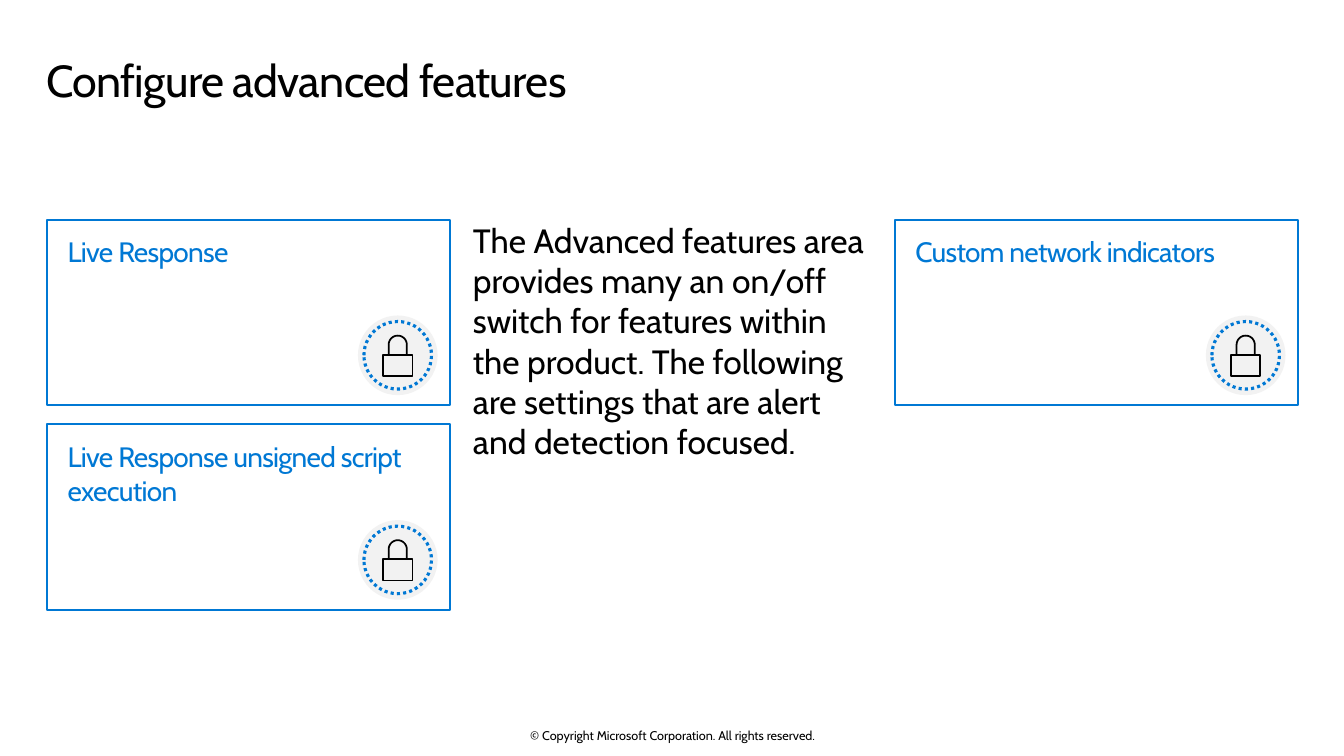
import math

from lxml import etree
from pptx import Presentation
from pptx.dml.color import RGBColor
from pptx.enum.dml import MSO_LINE
from pptx.enum.shapes import MSO_SHAPE
from pptx.enum.text import MSO_ANCHOR, MSO_AUTO_SIZE, PP_ALIGN
from pptx.oxml.ns import qn
from pptx.util import Inches, Pt

RECTANGLE, OVAL = MSO_SHAPE.RECTANGLE, MSO_SHAPE.OVAL
TOP, MIDDLE = MSO_ANCHOR.TOP, MSO_ANCHOR.MIDDLE
LEFT, CENTER = PP_ALIGN.LEFT, PP_ALIGN.CENTER
NO_FIT = MSO_AUTO_SIZE.NONE
DOTTED = MSO_LINE.ROUND_DOT

FONT = "Cabin"
BLACK, BLUE, GREY = "000000", "0078D4", "F2F2F2"

CARD_W, CARD_H = 3.99, 1.84
LEFT_X, RIGHT_X = 0.47, 8.88
TOP_Y, ROW_STEP = 2.18, 2.03
CARDS = [
    ("Live Response", LEFT_X, TOP_Y),
    ("Custom network indicators", RIGHT_X, TOP_Y),
    ("Live Response unsigned script execution", LEFT_X, TOP_Y + ROW_STEP),
]


def rgb(color):
    return RGBColor.from_string(color)


def place(shape, box):
    shape.left, shape.top, shape.width, shape.height = map(Inches, box)


def write(shape, text, size, color=BLACK, insets=(0, 0, 0, 0), anchor=TOP,
          align=LEFT, spacing=0):
    """Fill a shape with one formatted paragraph and return that paragraph."""
    frame = shape.text_frame
    frame.text = text
    frame.word_wrap = True
    frame.auto_size = NO_FIT
    frame.vertical_anchor = anchor
    (frame.margin_left, frame.margin_top,
     frame.margin_right, frame.margin_bottom) = map(Inches, insets)
    paragraph = frame.paragraphs[0]
    paragraph.alignment = align
    paragraph.space_before = Pt(0)
    run = paragraph.runs[0]
    run.font.name = FONT
    run.font.size = Pt(size)
    run.font.color.rgb = rgb(color)
    if spacing:
        run.font._element.set("spc", str(int(spacing * 100)))
    return paragraph


def style(shape, fill=None, line=None, width=1.0):
    shape.shadow.inherit = False
    if fill:
        shape.fill.solid()
        shape.fill.fore_color.rgb = rgb(fill)
    else:
        shape.fill.background()
    if line:
        shape.line.color.rgb = rgb(line)
        shape.line.width = Pt(width)
    else:
        shape.line.fill.background()


def add_title(slide, box):
    title = slide.shapes.title
    place(title, box)
    paragraph = write(title, "Configure advanced features", 32,
                      insets=(0, 0.1, 0.16, 0.1), spacing=-0.5)
    paragraph.line_spacing = 0.9


def add_description(slide, box):
    description = slide.placeholders[1]
    place(description, box)
    paragraph = write(
        description,
        "The Advanced features area provides many an on/off switch for "
        "features within the product. The following are settings that are "
        "alert and detection focused.", 24)
    # Plain text: no bullet and no hanging indent
    properties = paragraph._p.get_or_add_pPr()
    properties.set("marL", "0")
    properties.set("indent", "0")
    etree.SubElement(properties, qn("a:buNone"))


def add_padlock(shapes, x, y):
    """Square body with an arched shackle, 0.29 by 0.4 inches."""
    width, height, body_top, radius = 0.29, 0.4, 0.19, 0.09
    center = x + width / 2

    def points(pairs):
        return [(Inches(px), Inches(py)) for px, py in pairs]

    body = points([(x, y + body_top), (x + width, y + body_top),
                   (x + width, y + height), (x, y + height)])
    arch = [(center + radius * math.cos(math.radians(angle)),
             y + radius - radius * math.sin(math.radians(angle)))
            for angle in range(0, 181, 10)]
    shackle = points([(center + radius, y + body_top), *arch,
                      (center - radius, y + body_top)])

    builder = shapes.build_freeform(*body[0], scale=1.0)
    builder.add_line_segments(body[1:], close=True)
    builder.move_to(*shackle[0])
    builder.add_line_segments(shackle[1:], close=False)
    style(builder.convert_to_shape(), line=BLACK, width=1.25)


def add_badge(slide, x, y):
    """Grey disc, dotted ring and padlock, grouped."""
    badge = slide.shapes.add_group_shape().shapes
    disc = badge.add_shape(OVAL, *map(Inches, (x, y, 0.79, 0.79)))
    style(disc, fill=GREY)
    ring = badge.add_shape(OVAL, *map(Inches, (x + 0.06, y + 0.06, 0.67, 0.67)))
    style(ring, line=BLUE, width=2.25)
    ring.line.dash_style = DOTTED
    add_padlock(badge, x + 0.25, y + 0.2)


def add_card(slide, heading, x, y):
    card = slide.shapes.add_shape(
        RECTANGLE, *map(Inches, (x, y, CARD_W, CARD_H)))
    style(card, line=BLUE, width=1.5)
    paragraph = write(card, heading, 20, BLUE,
                      insets=(0.2, 0.15, 0.2, 0.1), spacing=-0.5)
    paragraph.space_after = Pt(4)
    add_badge(slide, x + 3.08, y + 0.95)


def add_copyright(slide, box):
    copyright_line = slide.shapes.add_textbox(*map(Inches, box))
    write(copyright_line,
          "© Copyright Microsoft Corporation. All rights reserved.", 9,
          anchor=MIDDLE, align=CENTER)


def main():
    presentation = Presentation()
    presentation.slide_width = Inches(13.33)
    presentation.slide_height = Inches(7.5)
    slide = presentation.slides.add_slide(presentation.slide_layouts[1])

    add_title(slide, (0.46, 0.48, 12.4, 0.74))
    add_description(slide, (4.69, TOP_Y, 4.01, 4.71))
    for heading, x, y in CARDS:
        add_card(slide, heading, x, y)
    add_copyright(slide, (4.42, 7.22, 4.5, 0.15))

    presentation.save("out.pptx")


if __name__ == "__main__":
    main()
